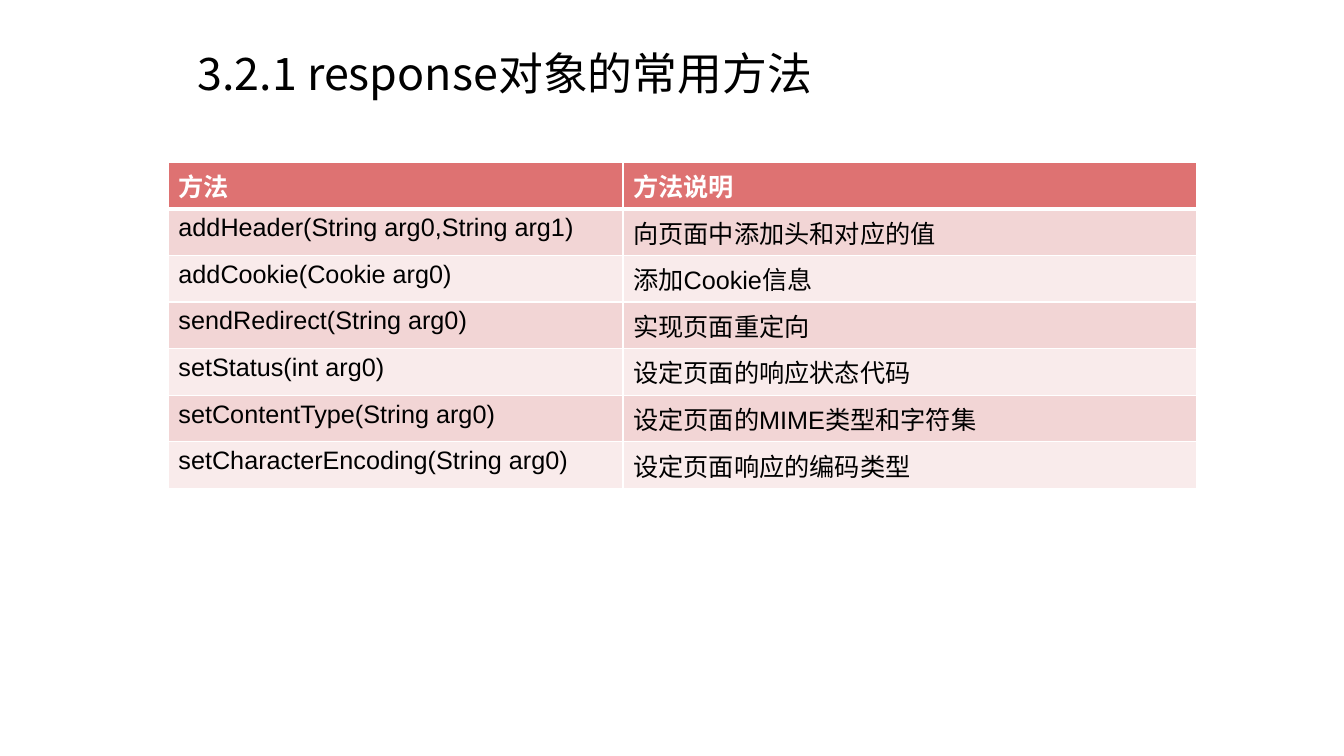
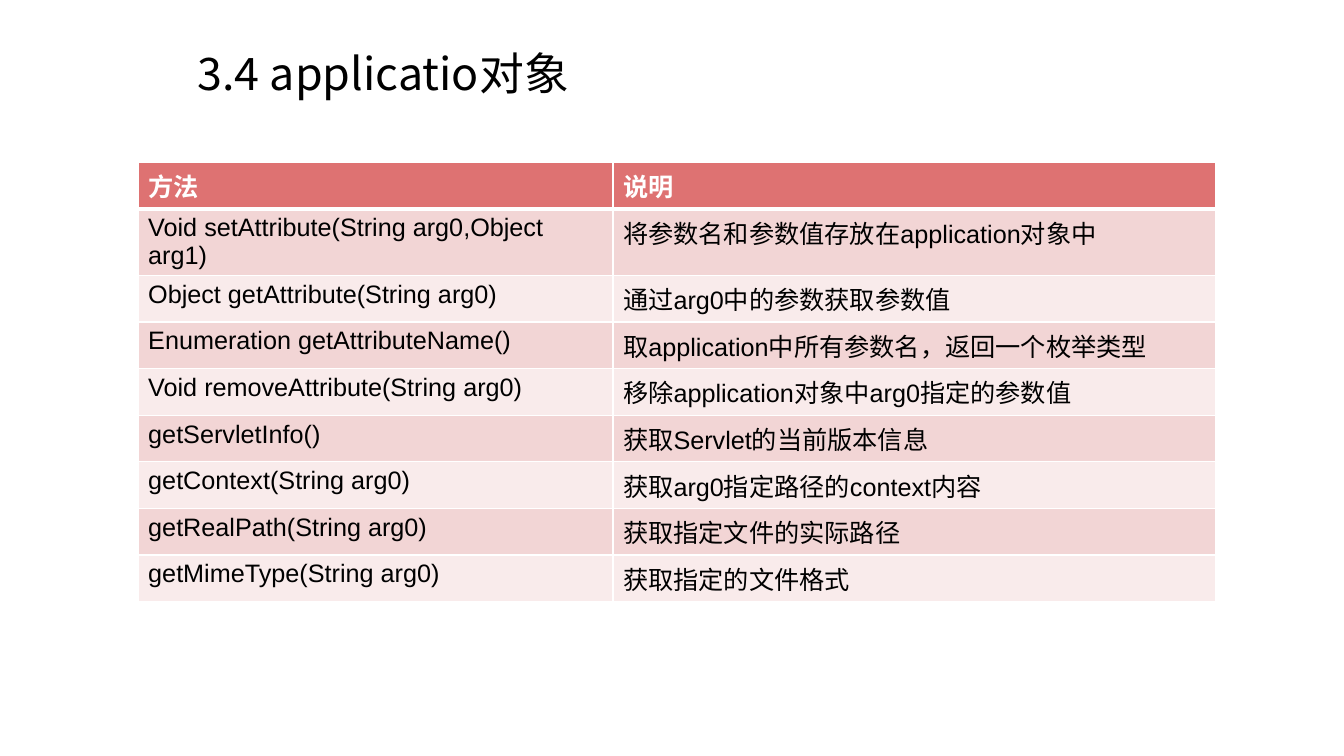
"""Build two slides that list the methods of the response and application objects."""
from lxml import etree
from pptx import Presentation
from pptx import util as u
from pptx.dml.color import RGBColor
from pptx.enum import text
from pptx.oxml.ns import qn

HUES = {"head": "DE7272", "odd": "F2D5D5", "even": "F9EBEB", "ink": "000000", "line": "FFFFFF"}
LATIN, HAN = "Arial", "Noto Sans CJK SC"
WIDE, HIGH = u.Inches(13.33), u.Inches(7.5)
ROW = u.Inches(0.41)

PAGES = [
    ("3.2.1 response对象的常用方法", 1.67, (4.51, 5.69), [
        ("方法", "方法说明"),
        ("addHeader(String arg0,String arg1)", "向页面中添加头和对应的值"),
        ("addCookie(Cookie arg0)", "添加Cookie信息"),
        ("sendRedirect(String arg0)", "实现页面重定向"),
        ("setStatus(int arg0)", "设定页面的响应状态代码"),
        ("setContentType(String arg0)", "设定页面的MIME类型和字符集"),
        ("setCharacterEncoding(String arg0)", "设定页面响应的编码类型"),
    ]),
    ("3.4 applicatio对象", 1.37, (4.71, 5.98), [
        ("方法", "说明"),
        ("Void setAttribute(String arg0,Object arg1)", "将参数名和参数值存放在application对象中"),
        ("Object getAttribute(String arg0)", "通过arg0中的参数获取参数值"),
        ("Enumeration getAttributeName()", "取application中所有参数名，返回一个枚举类型"),
        ("Void removeAttribute(String arg0)", "移除application对象中arg0指定的参数值"),
        ("getServletInfo()", "获取Servlet的当前版本信息"),
        ("getContext(String arg0)", "获取arg0指定路径的context内容"),
        ("getRealPath(String arg0)", "获取指定文件的实际路径"),
        ("getMimeType(String arg0)", "获取指定的文件格式"),
    ]),
]


def write(para, words, size, face, hue, bold=False):
    run = para.add_run()
    run.text = words
    font = run.font
    font.size, font.name, font.bold = u.Pt(size), face, bold
    font.color.rgb = RGBColor.from_string(HUES[hue])
    east = etree.Element(qn("a:ea"), typeface=HAN)
    font._element.find(qn("a:latin")).addnext(east)


def edge(cell, side, width):
    props = cell._tc.get_or_add_tcPr()
    line = etree.SubElement(props, qn("a:ln" + side), w=str(u.Pt(width)))
    fill = etree.SubElement(line, qn("a:solidFill"))
    etree.SubElement(fill, qn("a:srgbClr"), val=HUES["line"])


deck = Presentation()
deck.slide_width, deck.slide_height = WIDE, HIGH

for name, left, cols, rows in PAGES:
    slide = deck.slides.add_slide(deck.slide_layouts[5])
    title = slide.shapes.title
    title.left, title.top = u.Inches(1.86), u.Inches(0.51)
    title.width, title.height = u.Inches(9.92), u.Inches(0.64)
    frame = title.text_frame
    frame.auto_size = text.MSO_AUTO_SIZE.NONE
    frame.vertical_anchor = text.MSO_ANCHOR.TOP
    frame.margin_top = 0
    para = frame.paragraphs[0]
    para.alignment = text.PP_ALIGN.LEFT
    para.line_spacing = 0.9
    write(para, name, 32, HAN, "ink")

    table = slide.shapes.add_table(
        len(rows), len(cols), u.Inches(left), u.Inches(1.61),
        u.Inches(sum(cols)), ROW * len(rows)).table
    for col, width in zip(table.columns, cols):
        col.width = u.Inches(width)
    for r, row in enumerate(rows):
        table.rows[r].height = ROW
        tint = "head" if r == 0 else "odd" if r % 2 else "even"
        for c, words in enumerate(row):
            cell = table.cell(r, c)
            for side in "LRTB":
                thick = (r, side) in [(0, "B"), (1, "T")]
                edge(cell, side, 3 if thick else 1)
            cell.fill.solid()
            cell.fill.fore_color.rgb = RGBColor.from_string(HUES[tint])
            ink = "line" if r == 0 else "ink"
            write(cell.text_frame.paragraphs[0], words, 18, LATIN, ink, r == 0)

deck.save("out.pptx")
